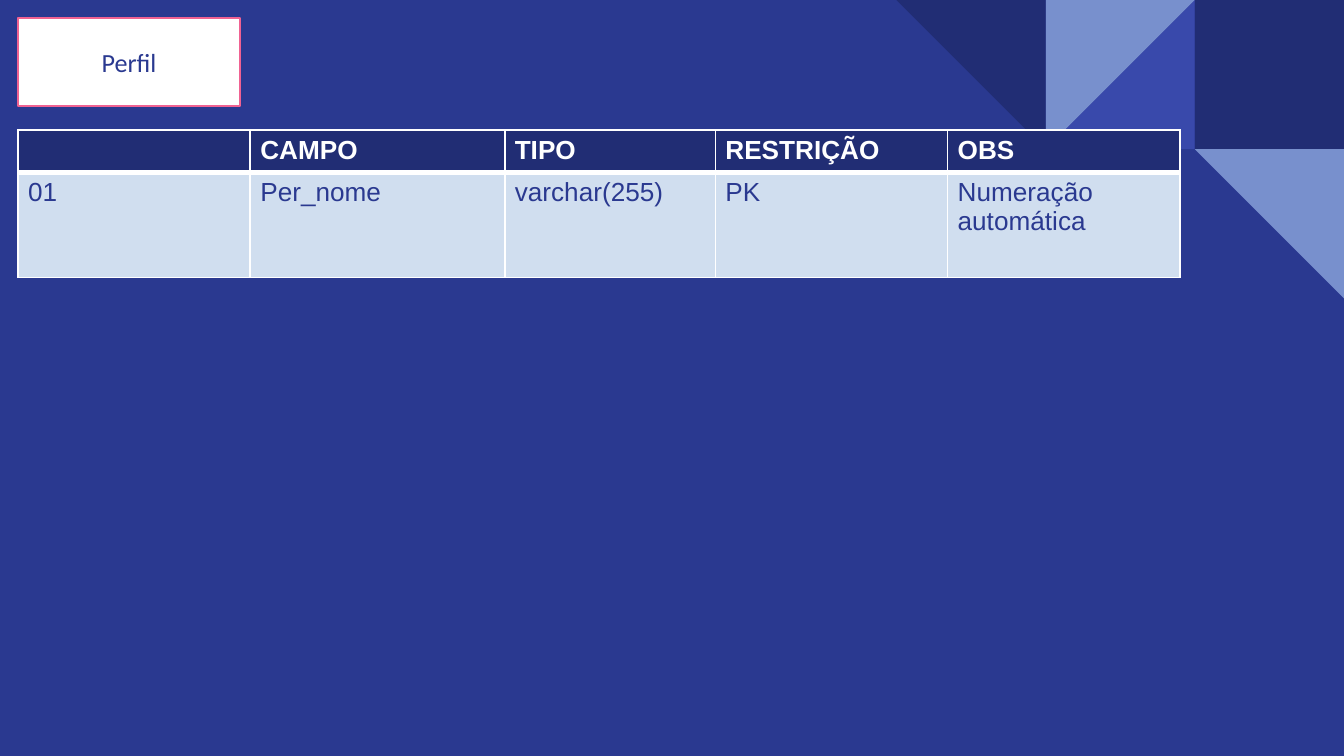
from dataclasses import dataclass

from lxml.etree import SubElement
from pptx import Presentation
from pptx.dml.color import RGBColor
from pptx.enum.shapes import MSO_SHAPE
from pptx.enum.text import MSO_ANCHOR, PP_ALIGN
from pptx.oxml.ns import qn
from pptx.util import Cm, Pt


@dataclass(frozen=True)
class Theme:
    background: str = "2A3990"
    dark: str = "212D74"
    bright: str = "3949AB"
    pale: str = "7890CD"
    row: str = "D0DEEF"
    white: str = "FFFFFF"
    accent: str = "F06292"
    table_font: str = "Arial"
    label_font: str = "Calibri"
    text_size: int = 14
    thin: int = 1
    thick: int = 3


class SlideBuilder:
    def __init__(self, page, theme):
        self.page = page
        self.theme = theme
        self.paint(page.background.fill, theme.background)

    def paint(self, fill, color):
        fill.solid()
        fill.fore_color.rgb = RGBColor.from_string(color)

    def shape(self, kind, left, top, width, height, color, rotation=0):
        shape = self.page.shapes.add_shape(kind, Cm(left), Cm(top), Cm(width), Cm(height))
        shape.shadow.inherit = False
        shape.rotation = rotation
        self.paint(shape.fill, color)
        shape.line.fill.background()
        return shape

    def set_text(self, frame, text, font, color, bold=False):
        frame.text = text
        paragraph = frame.paragraphs[0]
        for span in paragraph.runs:
            span.font.name = font
            span.font.size = Pt(self.theme.text_size)
            span.font.bold = bold
            span.font.color.rgb = RGBColor.from_string(color)
        if not text:
            SubElement(paragraph._p, qn("a:endParaRPr"), sz=str(self.theme.text_size * 100))

    def label(self, text, left, top, width, height):
        theme = self.theme
        box = self.shape(MSO_SHAPE.RECTANGLE, left, top, width, height, theme.white)
        self.paint(box.line.fill, theme.accent)
        box.line.width = Pt(theme.thin)
        self.set_text(box.text_frame, text, theme.label_font, theme.background)
        box.text_frame.vertical_anchor = MSO_ANCHOR.MIDDLE
        box.text_frame.paragraphs[0].alignment = PP_ALIGN.CENTER

    def borders(self, cell, widths):
        properties = cell._tc.get_or_add_tcPr()
        for position, (side, width) in enumerate(widths.items()):
            line = SubElement(properties, qn(f"a:{side}"), w=str(Pt(width)))
            fill = SubElement(line, qn("a:solidFill"))
            SubElement(fill, qn("a:srgbClr"), val=self.theme.white)
            properties.insert(position, line)

    def table(self, records, left, top, widths, heights):
        theme = self.theme
        table = self.page.shapes.add_table(
            len(records), len(widths), Cm(left), Cm(top), Cm(sum(widths)), Cm(sum(heights))
        ).table
        for column, width in zip(table.columns, widths):
            column.width = Cm(width)
        for row, height in zip(table.rows, heights):
            row.height = Cm(height)
        for row_index, record in enumerate(records):
            header = row_index == 0
            for column_index, text in enumerate(record):
                cell = table.cell(row_index, column_index)
                cell.margin_left = cell.margin_right = Cm(0.19)
                cell.margin_top = cell.margin_bottom = Cm(0.1)
                self.paint(cell.fill, theme.dark if header else theme.row)
                color = theme.white if header else theme.background
                self.set_text(cell.text_frame, text, theme.table_font, color, header)
                self.borders(cell, {
                    "lnL": theme.thin,
                    "lnR": theme.thin,
                    "lnT": theme.thin if header else theme.thick,
                    "lnB": theme.thick if header else theme.thin,
                })


def main():
    theme = Theme()
    deck = Presentation()
    deck.slide_width, deck.slide_height = Cm(25.4), Cm(14.29)
    slide = SlideBuilder(deck.slides.add_slide(deck.slide_layouts[6]), theme)

    tile = 2.82
    triangle = MSO_SHAPE.RIGHT_TRIANGLE
    mosaic = [
        (MSO_SHAPE.RECTANGLE, 1, 0, theme.dark, 0),
        (triangle, 2, 0, theme.bright, 270),
        (triangle, 2, 0, theme.pale, 90),
        (triangle, 3, 0, theme.dark, 180),
        (triangle, 1, 1, theme.pale, 180),
    ]
    for kind, from_right, row, color, rotation in mosaic:
        slide.shape(kind, 25.4 - from_right * tile, row * tile, tile, tile, color, rotation)

    records = [
        ["", "CAMPO", "TIPO", "RESTRIÇÃO", "OBS"],
        ["01", "Per_nome", "varchar(255)", "PK", "Numeração automática"],
    ]
    slide.table(records, 0.34, 2.46, [4.39, 4.81, 3.98, 4.39, 4.39], [0.72, 1.98])
    slide.label("Perfil", 0.34, 0.34, 4.2, 1.66)
    deck.save("out.pptx")


if __name__ == "__main__":
    main()
